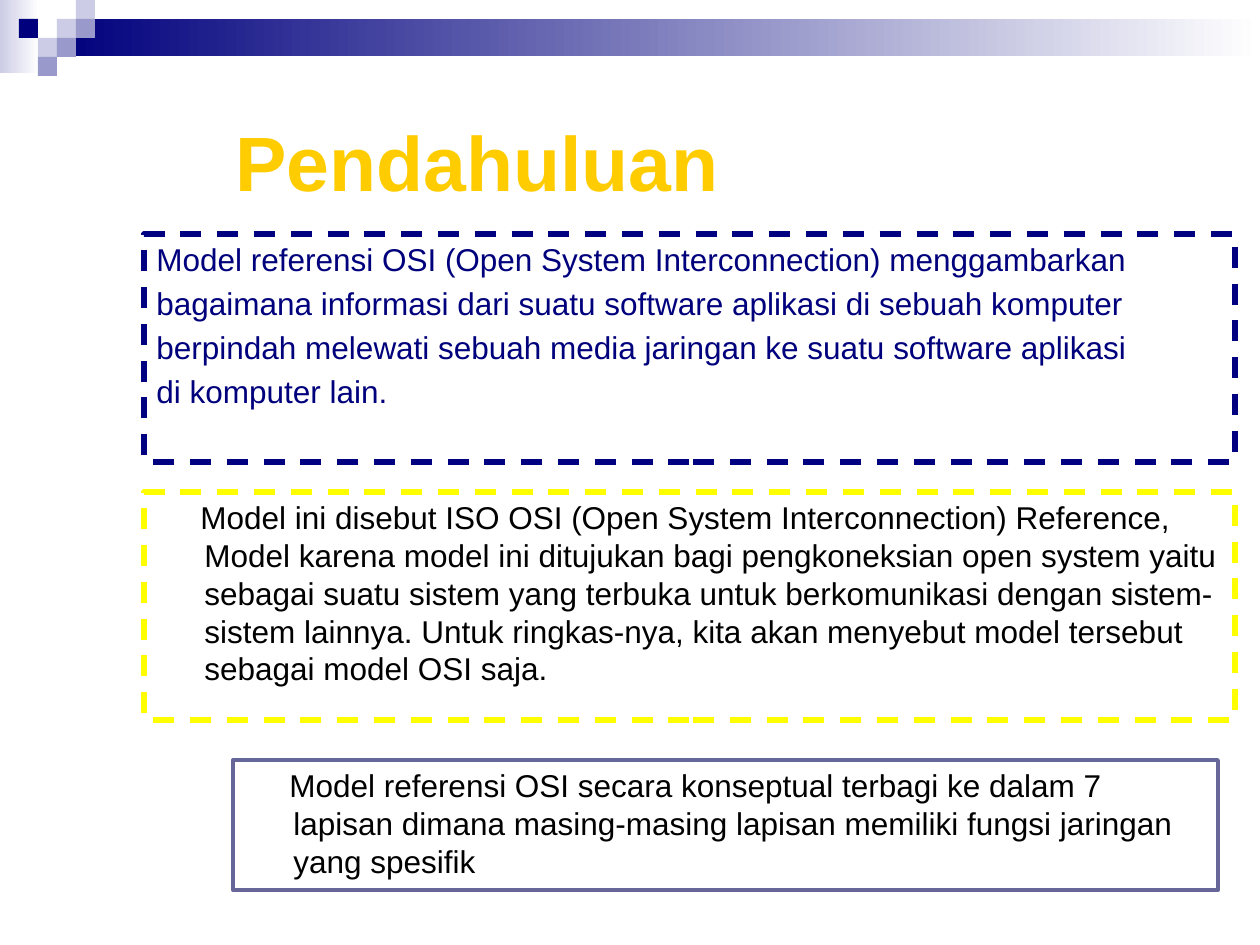
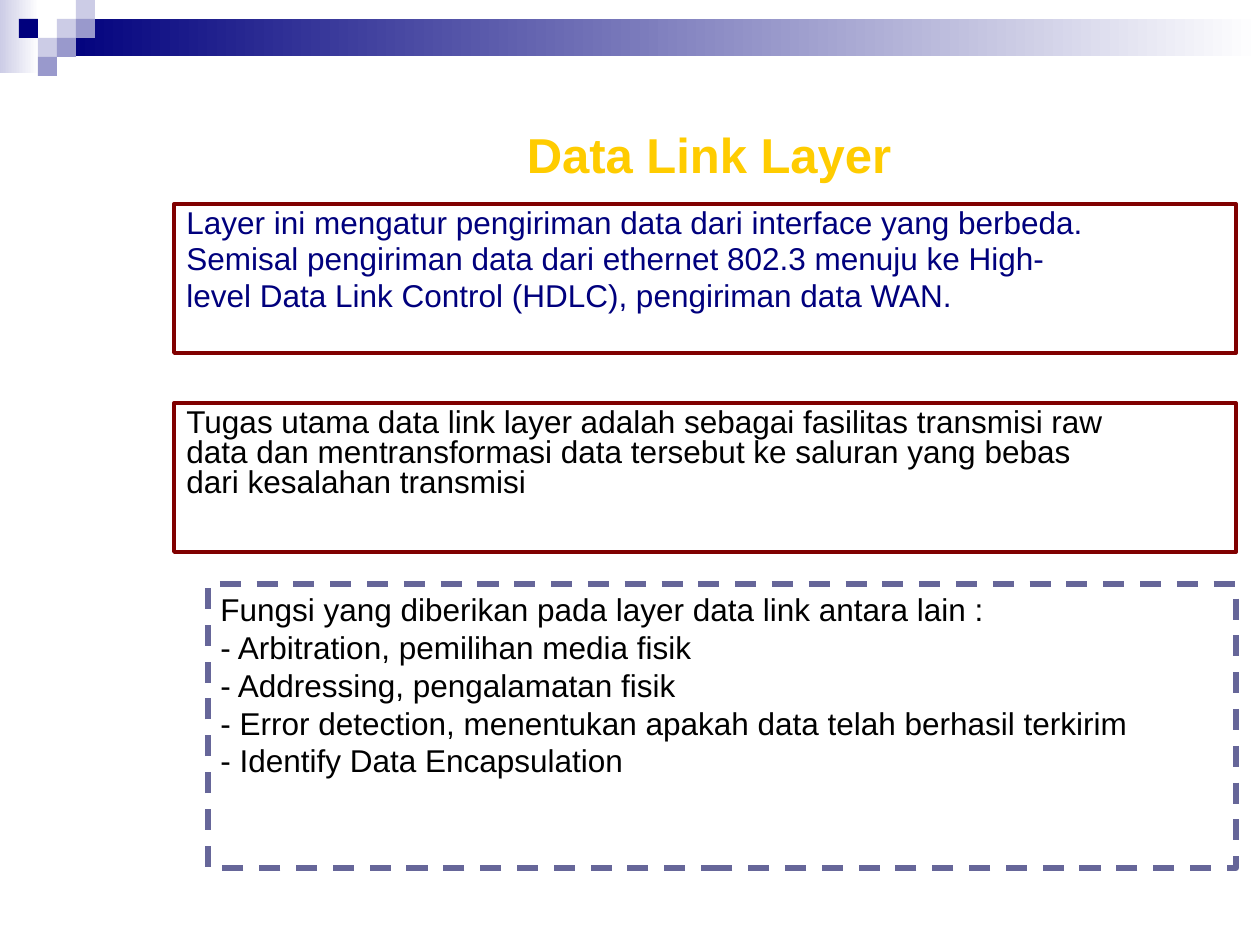
from pptx import Presentation
from pptx.dml.color import RGBColor
from pptx.enum.dml import MSO_LINE_DASH_STYLE as Dash
from pptx.enum.shapes import MSO_SHAPE as Shape
from pptx.enum.text import MSO_ANCHOR as Anchor, PP_ALIGN as Align
from pptx.util import Emu, Pt

PX_PER_INCH = 126
FONT = "Arial"
NAVY, LILAC, VIOLET = "00007D", "CCCCE6", "9999CC"
WHITE, BLACK, GOLD = "FFFFFF", "000000", "FFCC00"
YELLOW, MAROON, SLATE = "FFFF00", "800000", "666699"

# Corner mosaic: column, row, colour
CELL = 19
MOSAIC = [(3, 1, LILAC), (4, 0, LILAC), (4, 1, VIOLET), (2, 2, LILAC),
          (1, 1, NAVY), (3, 2, VIOLET), (2, 3, VIOLET)]


def px(length):
    return Emu(round(length * 914400 / PX_PER_INCH))


def rgb(value):
    return RGBColor.from_string(value)


def add_rect(slide, x, y, w, h):
    rect = slide.shapes.add_shape(Shape.RECTANGLE, px(x), px(y), px(w), px(h))
    rect.shadow.inherit = False
    rect.fill.background()
    rect.line.fill.background()
    return rect


def add_fade(slide, x, y, w, h, start):
    """Rectangle fading from a colour on the left to white."""
    fill = add_rect(slide, x, y, w, h).fill
    fill.gradient()
    fill.gradient_angle = 0
    for stop, color in zip(fill.gradient_stops, (start, WHITE)):
        stop.color.rgb = rgb(color)


def write(shape, lines, size=18, color=BLACK, bold=False, align=Align.LEFT,
          anchor=Anchor.TOP, leading=None, gap=0, margin=0, indent=0):
    frame = shape.text_frame
    frame.word_wrap = True
    frame.vertical_anchor = anchor
    for number, line in enumerate(lines):
        paragraph = frame.add_paragraph() if number else frame.paragraphs[0]
        paragraph.text = line
        paragraph.alignment = align
        paragraph.space_before = Pt(gap if number else 0)
        if leading:
            paragraph.line_spacing = Pt(leading)
        if margin:
            properties = paragraph._p.get_or_add_pPr()
            properties.set("marL", str(px(margin)))
            properties.set("indent", str(px(indent)))
        font = paragraph.font
        font.name, font.size, font.bold = FONT, Pt(size), bold
        font.color.rgb = rgb(color)


def add_framed_text(slide, x, y, w, h, lines, border, width=2.25,
                    dashed=False, leading=21.6, **text_format):
    frame = add_rect(slide, x, y, w, h)
    frame.line.color.rgb = rgb(border)
    frame.line.width = Pt(width)
    if dashed:
        frame.line.dash_style = Dash.DASH
    write(frame, lines, leading=leading, **text_format)


def add_title(slide, x, y, w, h, title, size, align=Align.LEFT):
    box = slide.shapes.add_textbox(px(x), px(y), px(w), px(h))
    write(box, [title], size=size, color=GOLD, bold=True, align=align,
          anchor=Anchor.MIDDLE)


def start_slide(deck):
    """Blank slide with the shared header band and mosaic."""
    slide = deck.slides.add_slide(deck.slide_layouts[6])
    add_fade(slide, 0, 0, 39, 73, LILAC)
    add_fade(slide, 57, 19, 1203, 37, NAVY)
    for column, row, color in MOSAIC:
        tile = add_rect(slide, column * CELL, row * CELL, CELL, CELL)
        tile.fill.solid()
        tile.fill.fore_color.rgb = rgb(color)
    return slide


def build_introduction(deck):
    slide = start_slide(deck)
    add_title(slide, 223, 117, 914, 88, "Pendahuluan", 44)

    # What the OSI model describes
    add_framed_text(slide, 144, 234, 1091, 228, [
        "Model referensi OSI (Open System Interconnection) menggambarkan",
        "bagaimana informasi dari suatu software aplikasi di sebuah komputer",
        "berpindah melewati sebuah media jaringan ke suatu software aplikasi",
        "di komputer lain.",
    ], "000080", width=3, dashed=True, color=NAVY, gap=3.6)

    # Where the name comes from
    add_framed_text(slide, 144, 492, 1091, 228, [
        "Model ini disebut ISO OSI (Open System Interconnection) Reference, "
        "Model karena model ini ditujukan bagi pengkoneksian open system yaitu "
        "sebagai suatu sistem yang terbuka untuk berkomunikasi dengan "
        "sistem-sistem lainnya. Untuk ringkas-nya, kita akan menyebut model "
        "tersebut sebagai model OSI saja.",
    ], YELLOW, width=3, dashed=True, margin=48, indent=-4)

    # Seven layers
    add_framed_text(slide, 233, 760, 985, 130, [
        "Model referensi OSI secara konseptual terbagi ke dalam 7 lapisan "
        "dimana masing-masing lapisan memiliki fungsi jaringan yang spesifik",
    ], SLATE, margin=48, indent=-4)


def build_data_link(deck):
    slide = start_slide(deck)
    add_title(slide, 252, 115, 914, 78, "Data Link Layer", 28, Align.CENTER)

    # Role of the layer
    add_framed_text(slide, 174, 204, 1062, 149, [
        "Layer ini mengatur pengiriman data dari interface yang berbeda.",
        "Semisal pengiriman data dari ethernet 802.3 menuju ke High-",
        "level Data Link Control (HDLC), pengiriman data WAN.",
    ], MAROON, color=NAVY, leading=17.3, gap=3.6)

    # Main task
    add_framed_text(slide, 174, 403, 1062, 149, [
        "Tugas utama data link layer adalah sebagai fasilitas transmisi raw",
        "data dan mentransformasi data tersebut ke saluran yang bebas",
        "dari kesalahan transmisi",
    ], MAROON, leading=17.3)

    # Functions
    add_framed_text(slide, 208, 584, 1028, 284, [
        "Fungsi yang diberikan pada layer data link antara lain :",
        "- Arbitration, pemilihan media fisik",
        "- Addressing, pengalamatan fisik",
        "- Error detection, menentukan apakah data telah berhasil terkirim",
        "- Identify Data Encapsulation",
    ], SLATE, width=3, dashed=True)


def main():
    deck = Presentation()
    deck.slide_width, deck.slide_height = px(1260), px(945)
    build_introduction(deck)
    build_data_link(deck)
    deck.save("out.pptx")


if __name__ == "__main__":
    main()
